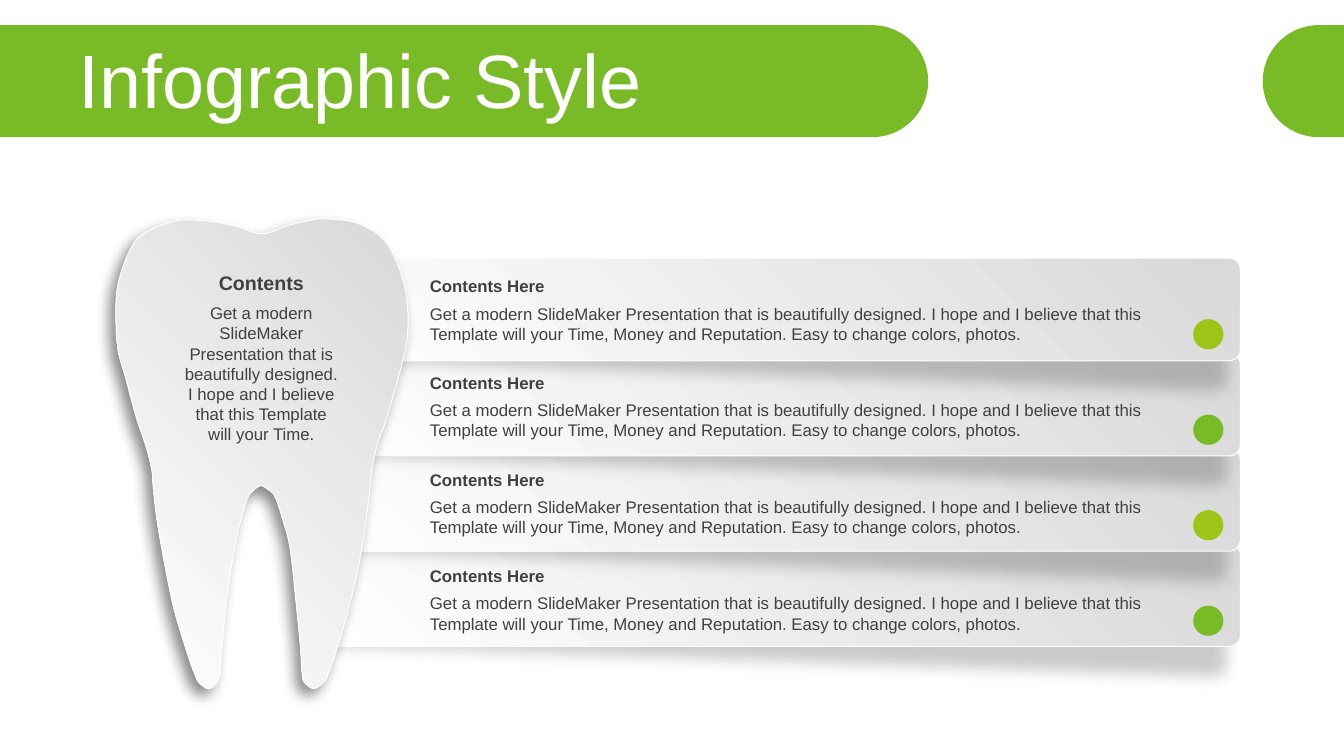
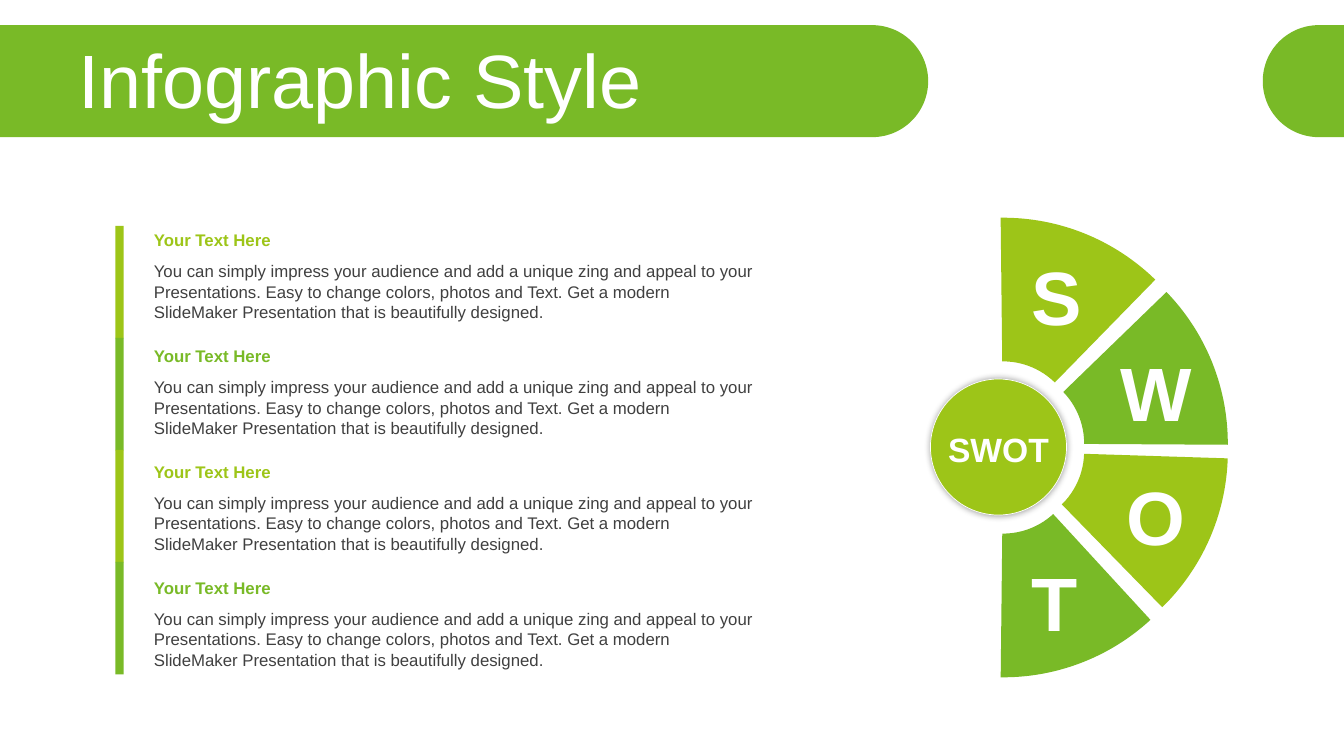
import math

from lxml import etree
from pptx import Presentation
from pptx.dml.color import RGBColor
from pptx.enum.shapes import MSO_SHAPE
from pptx.enum.text import MSO_ANCHOR, PP_ALIGN
from pptx.oxml.ns import qn
from pptx.util import Pt

RECTANGLE = MSO_SHAPE.RECTANGLE
ROUNDED = MSO_SHAPE.ROUNDED_RECTANGLE
OVAL = MSO_SHAPE.OVAL
BLOCK_ARC = MSO_SHAPE.BLOCK_ARC
LEFT, CENTER = PP_ALIGN.LEFT, PP_ALIGN.CENTER
TOP, MIDDLE = MSO_ANCHOR.TOP, MSO_ANCHOR.MIDDLE

GREEN = RGBColor(0x79, 0xBA, 0x27)
LIME = RGBColor(0x9D, 0xC5, 0x18)
WHITE = RGBColor(0xFF, 0xFF, 0xFF)
SILVER = RGBColor(0xD9, 0xD9, 0xD9)
DARK = RGBColor(0x40, 0x40, 0x40)
SHADE = RGBColor(0x59, 0x59, 0x59)
ALTERNATING = (LIME, GREEN, LIME, GREEN)

FONT = "Arial"
SLIDE_WIDTH, SLIDE_HEIGHT = 960, 540
BAND_TOP, BAND_RADIUS = 18, 40

TOOTH_TEXT = (
    "Get a modern SlideMaker Presentation that is beautifully designed. "
    "I hope and I believe that this Template will your Time."
)
BAR_TEXT = (
    "Get a modern SlideMaker Presentation that is beautifully designed. "
    "I hope and I believe that this Template will your Time, Money and "
    "Reputation. Easy to change colors, photos."
)
SWOT_TEXT = (
    "You can simply impress your audience and add a unique zing and appeal "
    "to your Presentations. Easy to change colors, photos and Text. Get a "
    "modern SlideMaker Presentation that is beautifully designed."
)

# Knots of the closed tooth outline, clockwise from the top of the right cusp
TOOTH_KNOTS = (
    (232, 156.3), (254, 159), (272, 169), (281.5, 183), (288.7, 203),
    (291.6, 227.5), (289.5, 250), (282, 278.6), (275, 302.4), (270, 316),
    (265.7, 335), (262.8, 362), (257, 400), (250, 431), (242, 459.4),
    (234, 482.4), (230.4, 488), (224, 491.8), (218, 488), (216, 482.4),
    (214.6, 461.5), (211.7, 432), (207.4, 392.4), (202.3, 372), (196.6, 355),
    (192, 350), (186.5, 347), (181.4, 350), (177, 355.7), (171.4, 373.7),
    (166.3, 399), (161.3, 434), (157.7, 473), (157, 482.4), (153.4, 489.6),
    (148.3, 491.8), (142.6, 488), (139.7, 483), (134, 467), (124.6, 436),
    (118, 404.6), (112.3, 372), (109.4, 347), (108.7, 337), (105, 321),
    (97.2, 297.4), (90, 270.7), (84.2, 249), (82.8, 223), (84.2, 204),
    (90, 185), (98.6, 170), (112.3, 162), (126, 157.8), (135.4, 157),
    (152, 158.4), (170, 162), (178.6, 165), (186.5, 167), (195.8, 165),
    (205, 161.3), (219.6, 157.7),
)


def smooth_outline(knots, steps=5):
    """Return points on the closed Catmull-Rom curve through the knots."""
    points = []
    for index in range(len(knots)):
        a, b, c, d = (knots[(index + k) % len(knots)] for k in (-1, 0, 1, 2))
        for step in range(steps):
            t = step / steps
            points.append(tuple(
                (2 * b[i] + (c[i] - a[i]) * t
                 + (2 * a[i] - 5 * b[i] + 4 * c[i] - d[i]) * t ** 2
                 + (3 * b[i] - a[i] - 3 * c[i] + d[i]) * t ** 3) / 2
                for i in (0, 1)))
    return points


def style_shape(shape, fill=None, line=None, line_width=0.75):
    """Apply a solid fill, or the silver gradient when no fill is given."""
    shape.shadow.inherit = False
    if fill is None:
        shape.fill.gradient()
        shape.fill.gradient_angle = 225
        for stop, color, position in zip(
                shape.fill.gradient_stops, (SILVER, WHITE), (0, 1)):
            stop.color.rgb = color
            stop.position = position
    else:
        shape.fill.solid()
        shape.fill.fore_color.rgb = fill
    if line is None:
        shape.line.fill.background()
    else:
        shape.line.color.rgb = line
        shape.line.width = Pt(line_width)
    return shape


def add_preset(slide, kind, box, **style):
    shape = slide.shapes.add_shape(kind, *map(Pt, box))
    return style_shape(shape, **style)


def add_outline(slide, points, **style):
    points = [(Pt(x), Pt(y)) for x, y in points]
    builder = slide.shapes.build_freeform(*points[0])
    builder.add_line_segments(points[1:], close=True)
    return style_shape(builder.convert_to_shape(), **style)


def set_alpha(color_element, percent):
    etree.SubElement(color_element, qn("a:alpha"), val=str(percent * 1000))


def add_shadow(shape, alpha, blur, distance=0, angle=0):
    effects = shape._element.spPr.find(qn("a:effectLst"))
    shadow = etree.SubElement(
        effects, qn("a:outerShdw"), blurRad=str(Pt(blur)),
        dist=str(Pt(distance)), dir=str(angle * 60000), algn="ctr",
        rotWithShape="0")
    set_alpha(etree.SubElement(shadow, qn("a:srgbClr"), val="000000"), alpha)
    return effects


def add_text_box(slide, box, anchor=TOP):
    frame = slide.shapes.add_textbox(*map(Pt, box)).text_frame
    frame.word_wrap = True
    frame.vertical_anchor = anchor
    return frame


def add_text(frame, text, size=12, color=DARK, bold=False, align=LEFT,
             space_before=None, line_spacing=None):
    """Write one paragraph, reusing the empty first one of the frame."""
    paragraph = frame.paragraphs[0]
    if paragraph.runs:
        paragraph = frame.add_paragraph()
    paragraph.alignment = align
    if space_before is not None:
        paragraph.space_before = Pt(space_before)
    if line_spacing is not None:
        paragraph.line_spacing = line_spacing
    run = paragraph.add_run()
    run.text = text
    run.font.name = FONT
    run.font.size = Pt(size)
    run.font.bold = bold
    run.font.color.rgb = color


def add_band(slide, flat_x, cap_x, direction):
    """Draw a band from a slide edge to a round cap centred on cap_x."""
    middle = BAND_TOP + BAND_RADIUS
    angles = [math.radians(degree) for degree in range(-90, 91, 3)]
    cap = [(cap_x + direction * BAND_RADIUS * math.cos(angle),
            middle + BAND_RADIUS * math.sin(angle)) for angle in angles]
    corners = [(flat_x, middle + BAND_RADIUS), (flat_x, BAND_TOP)]
    add_outline(slide, cap + corners, fill=GREEN)


def add_titled_slide(presentation, title):
    slide = presentation.slides.add_slide(presentation.slide_layouts[6])
    add_band(slide, 0, 623, 1)
    add_band(slide, SLIDE_WIDTH, 942, -1)
    frame = add_text_box(slide, (49, 31.7, 888, 57), MIDDLE)
    add_text(frame, title, size=54, color=WHITE, line_spacing=0.9)
    return slide


def add_content_bar(slide, top):
    under = add_preset(slide, ROUNDED, (221, top + 18, 664.5, 73.4), fill=SHADE)
    under.adjustments[0] = 0.11
    under.rotation = 2
    set_alpha(under.fill._xPr.find(".//" + qn("a:srgbClr")), 23)
    effects = add_shadow(under, 33, 10, 3, 135)
    etree.SubElement(effects, qn("a:softEdge"), rad=str(Pt(10)))
    bar = add_preset(slide, ROUNDED, (230, top, 656, 73.4), line=WHITE)
    bar.adjustments[0] = 0.11


def build_tooth_slide(presentation):
    slide = add_titled_slide(presentation, "Infographic Style")
    for row in reversed(range(4)):
        add_content_bar(slide, 184.3 + 68 * row)

    tooth = add_outline(slide, smooth_outline(TOOTH_KNOTS), line=WHITE)
    add_shadow(tooth, 45, 10, 7, 135)
    frame = add_text_box(slide, (123, 190, 127.5, 132))
    add_text(frame, "Contents", size=14, bold=True, align=CENTER)
    add_text(frame, TOOTH_TEXT, align=CENTER, space_before=6)

    for row, color in enumerate(ALTERNATING):
        add_preset(slide, OVAL, (852.3, 228 + 68.2 * row, 21.6, 21.6), fill=color)
        frame = add_text_box(slide, (300, 193.7 + 69 * row, 538.5, 55))
        add_text(frame, "Contents Here", bold=True)
        add_text(frame, BAR_TEXT, space_before=5)


def build_swot_slide(presentation):
    slide = add_titled_slide(presentation, "Infographic Style")
    hub_box = (664.6, 270.7, 97.2, 97.2)
    hub = add_preset(slide, OVAL, hub_box, fill=LIME, line=WHITE, line_width=0.5)
    add_shadow(hub, 40, 5)

    # letter, arc left and top, arc start, end and thickness, letter left and top
    wedges = (
        ("S", 561, 155.5, (107.61, 134.6, 0.33), 720.7, 174.2),
        ("W", 566, 161.3, (135.54, 162.2, 0.33), 792, 243.4),
        ("O", 566, 167, (163.09, 189.41, 0.33), 792, 332),
        ("T", 561, 172.8, (190.44, 0.38, 0.33), 719.3, 393),
    )
    for wedge, color in zip(wedges, ALTERNATING):
        letter, left, top, adjustments, letter_left, letter_top = wedge
        arc = add_preset(slide, BLOCK_ARC, (left, top, 311, 311), fill=color)
        for index, value in enumerate(adjustments):
            arc.adjustments[index] = value
        arc.rotation = 90
        frame = add_text_box(slide, (letter_left, letter_top, 67.7, 72.7), MIDDLE)
        add_text(frame, letter, size=54, color=WHITE, bold=True, align=CENTER)
    frame = add_text_box(slide, (664.6, 303, 97.2, 36))
    add_text(frame, "SWOT", size=24, color=WHITE, bold=True, align=CENTER)

    for row, color in enumerate(ALTERNATING):
        add_preset(slide, RECTANGLE, (82.5, 161.3 + 80 * row, 5.8, 80.4), fill=color)
        frame = add_text_box(slide, (102.8, 160.6 + 82.8 * row, 444.5, 73))
        add_text(frame, "Your Text Here", color=color, bold=True)
        add_text(frame, SWOT_TEXT, space_before=8)


def main():
    presentation = Presentation()
    presentation.slide_width = Pt(SLIDE_WIDTH)
    presentation.slide_height = Pt(SLIDE_HEIGHT)
    build_tooth_slide(presentation)
    build_swot_slide(presentation)
    presentation.save("out.pptx")


if __name__ == "__main__":
    main()
